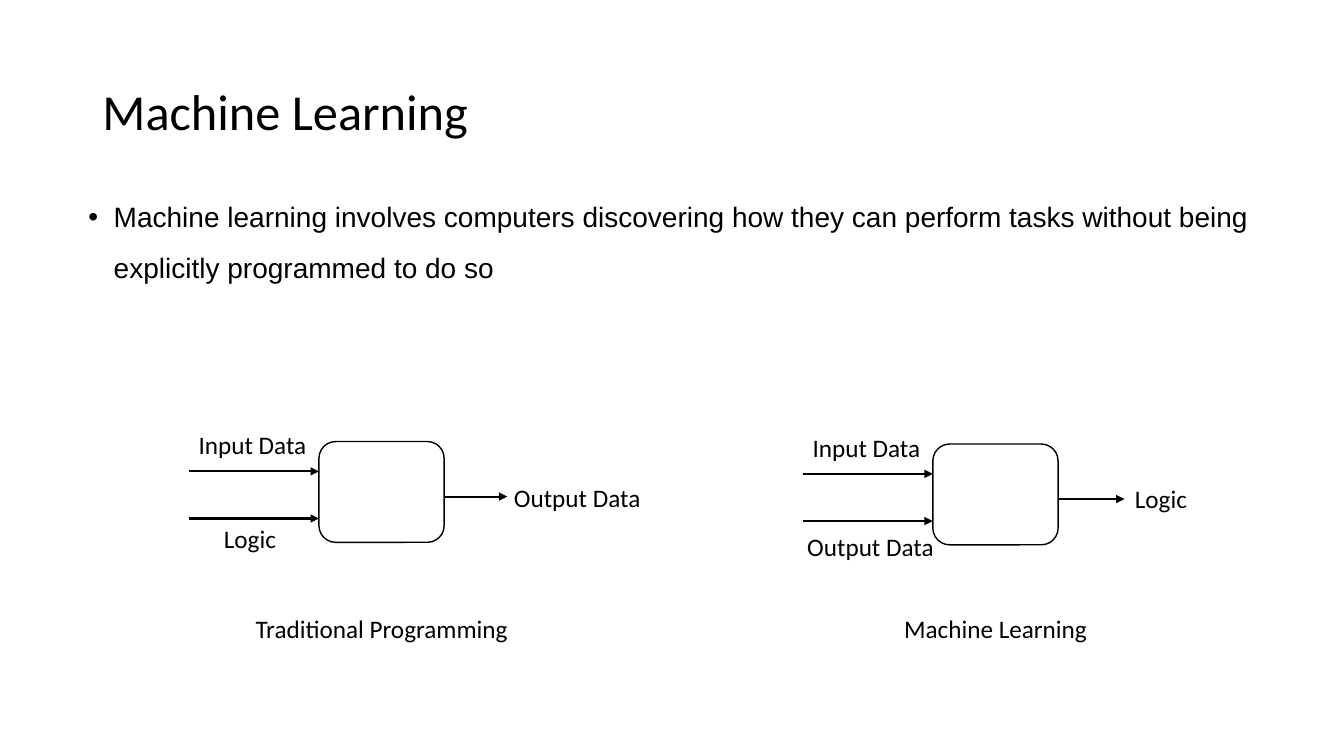
from pptx import Presentation
from pptx.dml.color import RGBColor as RGB
from pptx.enum.shapes import MSO_CONNECTOR as LINE, MSO_SHAPE as SHAPE
from pptx.enum.text import MSO_ANCHOR as ANCHOR, MSO_AUTO_SIZE as AUTO, PP_ALIGN as ALIGN
from pptx.oxml.ns import qn
from pptx.util import Pt
from lxml.etree import SubElement as add_sub

COLORS = {"ink": "000000", "paper": "FFFFFF"}
BOX_W, BOX_H = 89.5, 72
LABEL_W, LABEL_H = 120, 29


def color(name):
    return RGB.from_string(COLORS[name])


def place(shape, left, top, width, height):
    shape.left, shape.top = Pt(left), Pt(top)
    shape.width, shape.height = Pt(width), Pt(height)


def style(par, size, face="Calibri", align=ALIGN.LEFT):
    par.alignment = align
    par.font.size = Pt(size)
    par.font.name = face
    par.font.color.rgb = color("ink")


def add_title(slide, text):
    title = slide.shapes.title
    place(title, 66, 29, 828, 104.5)
    frame = title.text_frame
    frame.text = text
    frame.vertical_anchor = ANCHOR.MIDDLE
    par = frame.paragraphs[0]
    par.line_spacing = 0.9
    style(par, 36)


def add_list(slide, items):
    body = slide.placeholders[1]
    place(body, 56, 127, 867, 93.5)
    frame = body.text_frame
    frame.text = "\n".join(items)
    for i, par in enumerate(frame.paragraphs):
        par.line_spacing = 1.5
        par.space_before = Pt(10 if i else 0)
        props = par._p.get_or_add_pPr()
        props.set("marL", str(Pt(18)))
        props.set("indent", str(Pt(-18)))
        add_sub(props, qn("a:buFont"), typeface="Arial")
        add_sub(props, qn("a:buChar"), char="•")
        style(par, 20, "Arial")


def add_label(shapes, text, left, top, width=LABEL_W, align=ALIGN.LEFT):
    box = shapes.add_textbox(Pt(left), Pt(top), Pt(width), Pt(LABEL_H))
    frame = box.text_frame
    frame.word_wrap = True
    frame.auto_size = AUTO.SHAPE_TO_FIT_TEXT
    frame.text = text
    style(frame.paragraphs[0], 18, align=align)


def add_arrow(shapes, left, top, length):
    arrow = shapes.add_connector(
        LINE.STRAIGHT, Pt(left), Pt(top), Pt(left + length), Pt(top))
    arrow.line.color.rgb = color("ink")
    arrow.line.width = Pt(1.5)
    add_sub(arrow.line._get_or_add_ln(), qn("a:tailEnd"), type="triangle")
    add_sub(arrow._element.spPr, qn("a:effectLst"))


def add_flow(slide, left, top, reach, labels):
    """Draw a box with two arrows in and one out; labels are offset from it."""
    shapes = slide.shapes.add_group_shape().shapes
    box = shapes.add_shape(
        SHAPE.ROUNDED_RECTANGLE, Pt(left), Pt(top), Pt(BOX_W), Pt(BOX_H))
    box.shadow.inherit = False
    box.fill.solid()
    box.fill.fore_color.rgb = color("paper")
    box.line.color.rgb = color("ink")
    box.line.width = Pt(1)
    for drop in (21.3, 55):
        add_arrow(shapes, left - 93, top + drop, 93)
    add_arrow(shapes, left + BOX_W, top + 39.3, reach)
    for text, dx, dy in labels:
        add_label(shapes, text, left + dx, top + dy)


def main():
    deck = Presentation()
    deck.slide_width, deck.slide_height = Pt(960), Pt(540)
    slide = deck.slides.add_slide(deck.slide_layouts[1])
    add_title(slide, "Machine Learning")
    add_list(slide, ["Machine learning involves computers discovering how they "
                     "can perform tasks without being explicitly programmed to do so"])
    add_flow(slide, 227.8, 315.4, 45, [
        ("Input Data", -93, -12.3), ("Logic", -75, 54.7), ("Output Data", 132.2, 25.2)])
    add_flow(slide, 666.3, 317.2, 47.5, [
        ("Input Data", -93, -12.3), ("Logic", 137.2, 24.8), ("Output Data", -96.8, 58.6)])
    for text, left in (("Traditional Programming", 170.6), ("Machine Learning", 609.1)):
        add_label(slide.shapes, text, left, 434.2, 204, ALIGN.CENTER)
    deck.save("out.pptx")


if __name__ == "__main__":
    main()
